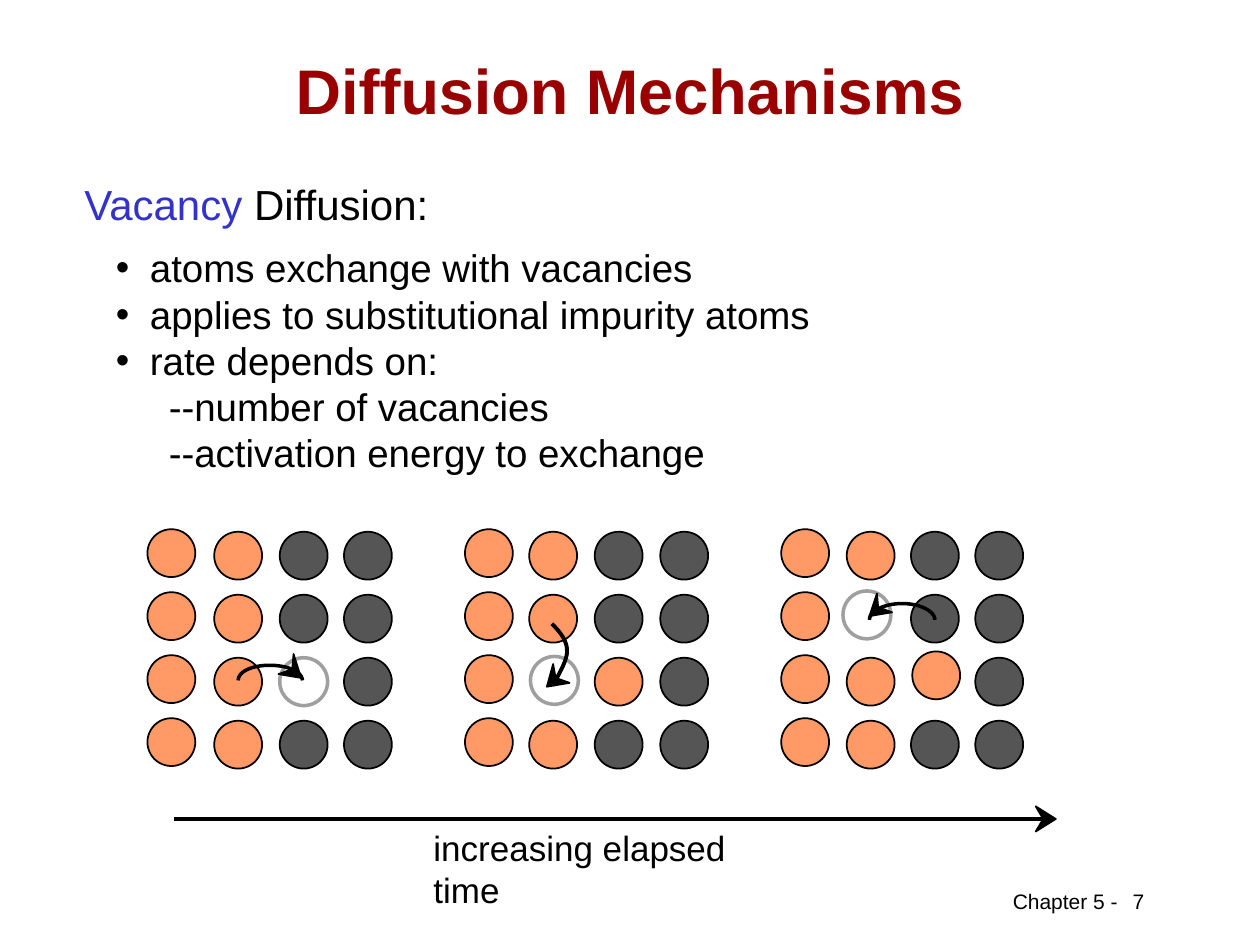
from dataclasses import dataclass
from typing import Any, Optional

from lxml.etree import SubElement
from pptx import Presentation
from pptx.dml.color import RGBColor
from pptx.enum.shapes import MSO_CONNECTOR, MSO_SHAPE
from pptx.enum.text import MSO_ANCHOR, PP_ALIGN
from pptx.oxml.ns import qn
from pptx.shapes.autoshape import Shape
from pptx.slide import Slide
from pptx.text.text import TextFrame, _Paragraph
from pptx.util import Inches, Pt

Point = tuple[float, float]
Bezier = tuple[Point, Point, Point, Point]


@dataclass(frozen=True)
class Theme:
    """Colours, type sizes and line widths of the slide."""
    font: str = "Arial"
    ink: str = "000000"
    title: str = "990000"
    accent: str = "3333CC"
    host: str = "FF9966"
    impurity: str = "555555"
    vacancy: str = "9F9F9F"
    title_size: int = 36
    heading_size: int = 24
    body_size: int = 22
    label_size: int = 20
    footer_size: int = 12
    thin: float = 1
    thick: float = 2


@dataclass(frozen=True)
class Jump:
    """The path of an atom into a vacancy, with its arrowhead."""
    curves: tuple[Bezier, ...]
    head: tuple[Point, ...]
    width: float = 2


@dataclass(frozen=True)
class Lattice:
    """One moment of the crystal: its columns, vacancy and moving atom."""
    columns: tuple[float, float, float, float]
    vacancy_cell: tuple[int, int]
    vacancy: Point
    jump: Jump
    migrated_cell: Optional[tuple[int, int]] = None
    migrated: Optional[Point] = None


THEME = Theme()
ATOM = 0.38
ROW_PITCH = 0.5
COLUMN_TOPS = (4.2, 4.22, 4.22, 4.22)
COLUMN_COLOURS = (THEME.host, THEME.host, THEME.impurity, THEME.impurity)
NO_MARGINS = {f"margin_{side}": 0 for side in ("left", "right", "top", "bottom")}
BULLETS = ("atoms exchange with vacancies",
           "applies to substitutional impurity atoms",
           "rate depends on:")
FACTORS = ("--number of vacancies", "--activation energy to exchange")
TIME_HEAD = ((8.38, 6.5), (8.22, 6.6), (8.28, 6.5), (8.22, 6.4))

LATTICES = (
    Lattice((1.17, 1.7, 2.22, 2.73), (2, 2), (2.22, 5.22), Jump(
        (((1.89, 5.4), (1.89, 5.33), (2, 5.28), (2.14, 5.28)),
         ((2.14, 5.28), (2.28, 5.28), (2.4, 5.33), (2.4, 5.4))),
        ((2.39, 5.38), (2.21, 5.35), (2.32, 5.31), (2.33, 5.19)))),
    Lattice((3.69, 4.2, 4.72, 5.24), (2, 1), (4.21, 5.21), Jump(
        (((4.38, 4.95), (4.44, 5.01), (4.5, 5.08), (4.5, 5.16)),
         ((4.5, 5.16), (4.51, 5.24), (4.41, 5.39), (4.39, 5.44))),
        ((4.34, 5.45), (4.39, 5.27), (4.41, 5.38), (4.52, 5.42)), 2.25),
        (2, 2), (4.72, 5.22)),
    Lattice((6.2, 6.72, 7.23, 7.74), (1, 1), (6.69, 4.69), Jump(
        (((7.42, 4.92), (7.42, 4.85), (7.3, 4.79), (7.16, 4.79)),
         ((7.16, 4.79), (7.02, 4.79), (6.9, 4.85), (6.9, 4.92))),
        ((6.9, 4.89), (6.96, 4.71), (6.97, 4.82), (7.08, 4.86))),
        (2, 2), (7.24, 5.17)),
)


def assign(target: Any, values: dict[str, Any]) -> None:
    """Set each named attribute on the target."""
    for name, value in values.items():
        setattr(target, name, value)


def write(paragraph: _Paragraph, text: str, size: int,
          colour: str = THEME.ink, bold: bool = False) -> None:
    """Append a formatted run."""
    run = paragraph.add_run()
    run.text = text
    assign(run.font, {"name": THEME.font, "size": Pt(size), "bold": bold})
    run.font.color.rgb = RGBColor.from_string(colour)


def add_text(slide: Slide, left: float, top: float, width: float, height: float,
             **frame_format: Any) -> TextFrame:
    """Add a text box and return its frame."""
    box = slide.shapes.add_textbox(*map(Inches, (left, top, width, height)))
    assign(box.text_frame, {"word_wrap": True, **frame_format})
    return box.text_frame


def paint(shape: Shape, fill: Optional[str], line: str, width: float) -> None:
    """Give a shape its fill and outline."""
    shape.shadow.inherit = False
    if fill:
        shape.fill.solid()
        shape.fill.fore_color.rgb = RGBColor.from_string(fill)
    else:
        shape.fill.background()
    shape.line.color.rgb = RGBColor.from_string(line)
    shape.line.width = Pt(width)


def draw_site(slide: Slide, corner: Point, fill: Optional[str]) -> None:
    """Draw an atom, or a vacancy when there is no fill."""
    site = slide.shapes.add_shape(
        MSO_SHAPE.OVAL, *map(Inches, (*corner, ATOM, ATOM)))
    line, width = (THEME.ink, THEME.thin) if fill else (THEME.vacancy, THEME.thick)
    paint(site, fill, line, width)


def draw_outline(slide: Slide, points: list[Point], fill: Optional[str],
                 width: float) -> None:
    """Draw a filled polygon, or an open line when there is no fill."""
    corners = [(Inches(x), Inches(y)) for x, y in points]
    builder = slide.shapes.build_freeform(*corners[0])
    builder.add_line_segments(corners[1:], close=bool(fill))
    paint(builder.convert_to_shape(), fill, THEME.ink, width)


def bezier_point(curve: Bezier, t: float) -> Point:
    """Return the point of a cubic curve at t."""
    weights = ((1 - t) ** 3, 3 * t * (1 - t) ** 2, 3 * t * t * (1 - t), t ** 3)
    x, y = (sum(w * p[axis] for w, p in zip(weights, curve)) for axis in (0, 1))
    return x, y


def draw_lattice(slide: Slide, lattice: Lattice, steps: int = 12) -> None:
    """Draw the vacancy, the atoms and the jump of one moment."""
    draw_site(slide, lattice.vacancy, None)
    for column, left in enumerate(lattice.columns):
        for row in range(4):
            cell = (row, column)
            if cell == lattice.migrated_cell:
                draw_site(slide, lattice.migrated, THEME.host)
            elif cell != lattice.vacancy_cell:
                top = COLUMN_TOPS[column] + row * ROW_PITCH
                draw_site(slide, (left, top), COLUMN_COLOURS[column])
    trail = [bezier_point(curve, step / steps)
             for curve in lattice.jump.curves for step in range(steps + 1)]
    draw_outline(slide, trail, None, lattice.jump.width)
    draw_outline(slide, list(lattice.jump.head), THEME.ink, THEME.thin)


def draw_time_axis(slide: Slide) -> None:
    """Draw the time arrow and its label."""
    axis = slide.shapes.add_connector(
        MSO_CONNECTOR.STRAIGHT, *map(Inches, (1.38, 6.5, 8.28, 6.5)))
    axis.line.color.rgb = RGBColor.from_string(THEME.ink)
    axis.line.width = Pt(THEME.thick)
    SubElement(axis._element.spPr, qn("a:effectLst"))
    draw_outline(slide, list(TIME_HEAD), THEME.ink, THEME.thin)
    label = add_text(slide, 3.44, 6.56, 2.9, 0.67, **NO_MARGINS)
    write(label.paragraphs[0], "increasing elapsed time", THEME.label_size)


def write_points(slide: Slide) -> None:
    """Write the heading, its bullets and the rate factors."""
    heading = add_text(slide, 0.67, 1.42, 4.42, 0.4, **NO_MARGINS).paragraphs[0]
    write(heading, "Vacancy", THEME.heading_size, THEME.accent)
    write(heading, " Diffusion:", THEME.heading_size)
    points = add_text(slide, 0.92, 1.94, 6.25, 1.89, **NO_MARGINS)
    for index, text in enumerate(BULLETS + FACTORS):
        paragraph = points.add_paragraph() if index else points.paragraphs[0]
        properties = paragraph._p.get_or_add_pPr()
        bulleted = text in BULLETS
        properties.set("marL", str(Inches(0.27 if bulleted else 0.42)))
        properties.set("indent", str(Inches(-0.27 if bulleted else 0)))
        if bulleted:
            SubElement(properties, qn("a:buFont")).set("typeface", THEME.font)
            SubElement(properties, qn("a:buChar")).set("char", "•")
        write(paragraph, text, THEME.body_size)


def main() -> None:
    """Build and save the slide."""
    deck = Presentation()
    assign(deck, {"slide_width": Inches(10), "slide_height": Inches(7.5)})
    slide = deck.slides.add_slide(deck.slide_layouts[5])
    title = slide.shapes.title
    assign(title, {"left": Inches(0.75), "top": Inches(0.42),
                   "width": Inches(8.5), "height": Inches(0.58)})
    title.text_frame.vertical_anchor = MSO_ANCHOR.MIDDLE
    heading = title.text_frame.paragraphs[0]
    heading.alignment = PP_ALIGN.CENTER
    write(heading, "Diffusion Mechanisms", THEME.title_size, THEME.title, bold=True)
    write_points(slide)
    for lattice in LATTICES:
        draw_lattice(slide, lattice)
    draw_time_axis(slide)
    chapter = add_text(slide, 7.94, 7, 1.03, 0.3, margin_right=0)
    write(chapter.paragraphs[0], "Chapter 5 -", THEME.footer_size)
    number = add_text(slide, 8.39, 7, 1.29, 0.39).paragraphs[0]
    number.alignment = PP_ALIGN.CENTER
    write(number, "7", THEME.footer_size)
    deck.save("out.pptx")


if __name__ == "__main__":
    main()
